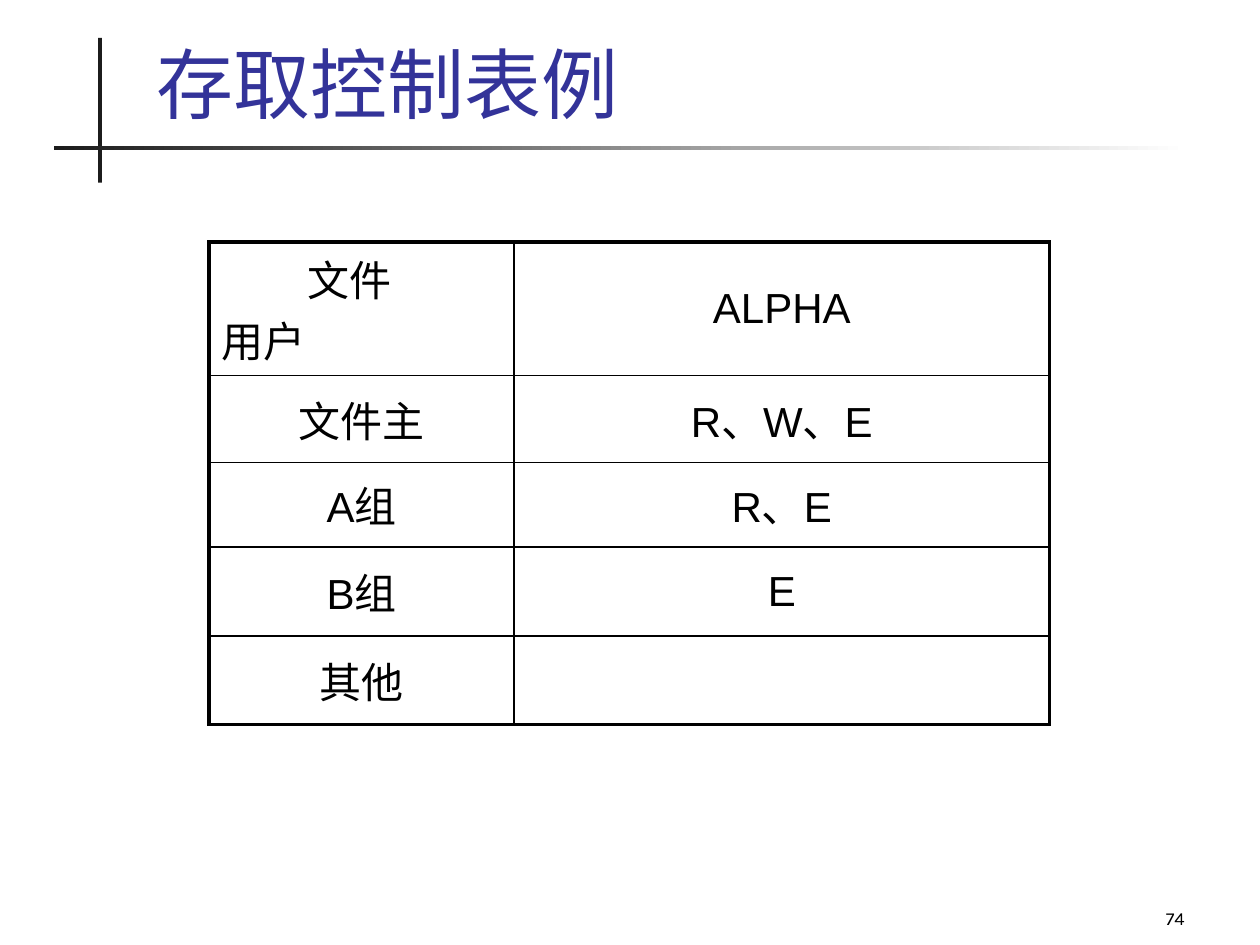
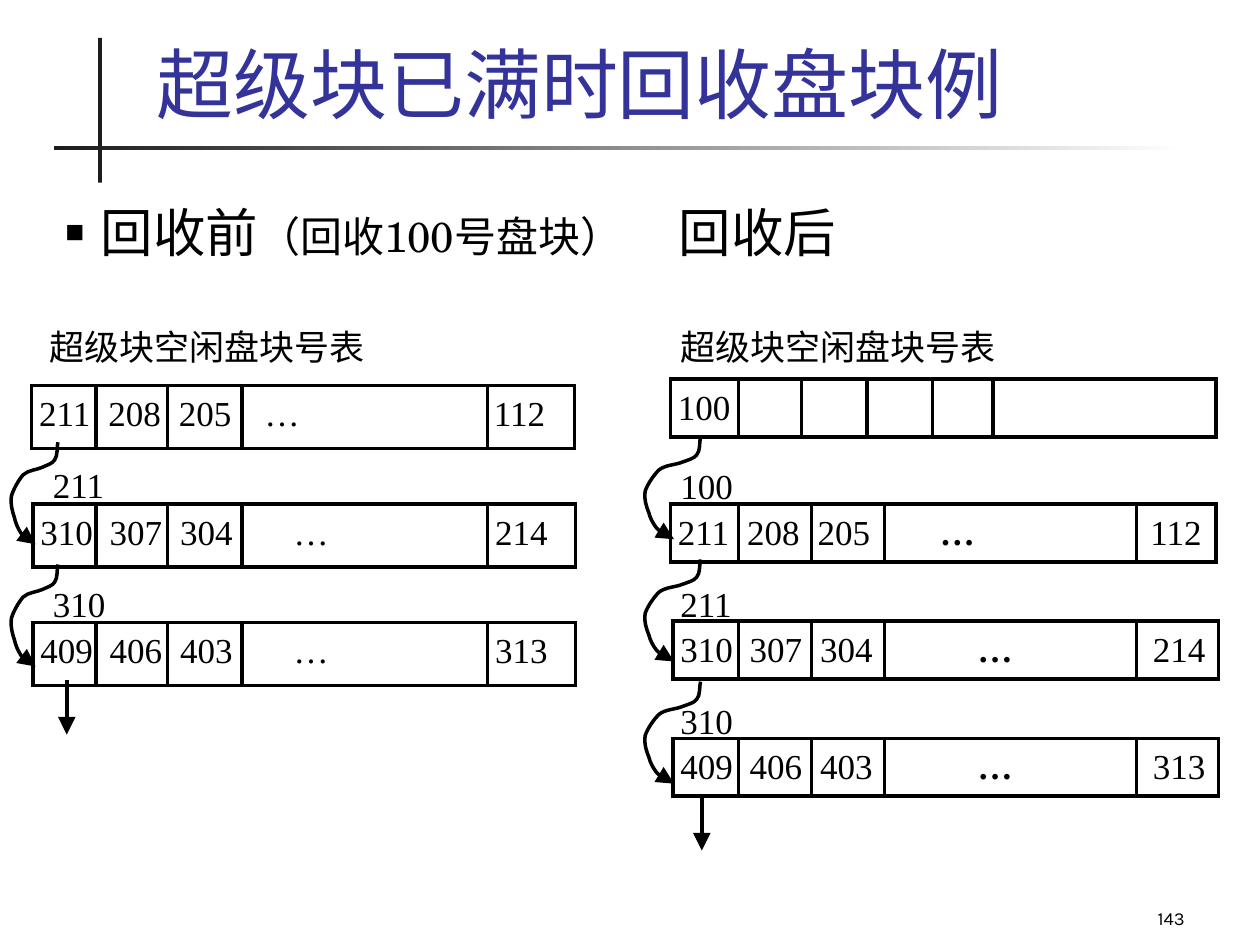
from dataclasses import dataclass

from lxml import etree
from pptx import Presentation
from pptx.dml.color import RGBColor
from pptx.enum.shapes import MSO_CONNECTOR, MSO_SHAPE
from pptx.enum.text import MSO_ANCHOR, PP_ALIGN
from pptx.oxml.ns import qn
from pptx.util import Inches, Pt

TOP, MIDDLE, BOTTOM = MSO_ANCHOR.TOP, MSO_ANCHOR.MIDDLE, MSO_ANCHOR.BOTTOM
LEFT, CENTER, RIGHT = PP_ALIGN.LEFT, PP_ALIGN.CENTER, PP_ALIGN.RIGHT
RECTANGLE, STRAIGHT = MSO_SHAPE.RECTANGLE, MSO_CONNECTOR.STRAIGHT


@dataclass(frozen=True)
class Theme:
    """Colours, fonts and sizes shared by the slides."""
    title_color: str = "333399"
    rule: str = "1C1C1C"
    ink: str = "000000"
    paper: str = "FFFFFF"
    heading_font: str = "TeX Gyre Schola"
    table_font: str = "Arial"
    block_font: str = "Times New Roman"
    number_font: str = "Karla"
    title_size: float = 44
    body_size: float = 30
    detail_size: float = 24
    block_size: float = 20
    number_size: float = 10.5
    line: float = 2
    outer_border: float = 2.25
    inner_border: float = 1


THEME = Theme()
TABLE_ROWS = [
    ("文件\n用户", "ALPHA"),
    ("文件主", "R、W、E"),
    ("A组", "R、E"),
    ("B组", "E"),
    ("其他", ""),
]
COLUMN_WIDTHS = (2.42, 4.25)
ROW_HEIGHTS = (1.06, 0.69, 0.67, 0.71, 0.7)
LINK_POINTS = [
    (0, 0), (-0.01, 0.03), (0, 0.11), (-0.03, 0.14),
    (-0.05, 0.17), (-0.1, 0.18), (-0.15, 0.2),
    (-0.2, 0.22), (-0.28, 0.22), (-0.33, 0.26),
    (-0.37, 0.3), (-0.42, 0.37), (-0.44, 0.43),
    (-0.45, 0.49), (-0.43, 0.55), (-0.41, 0.6),
    (-0.4, 0.64), (-0.38, 0.68), (-0.35, 0.72),
    (-0.32, 0.75), (-0.24, 0.79), (-0.21, 0.81),
]
LEFT_DIVIDERS = (0.76, 1.33, 1.92, 3.87)
RIGHT_DIVIDERS = (5.86, 6.44, 7.02, 9.02)
EMPTY_DIVIDERS = (5.86, 6.36, 6.88, 7.4, 7.88)


def color(value):
    """Turn a hex string into a colour."""
    return RGBColor.from_string(value)


def add_run(paragraph, text, font, size, ink=THEME.ink, bold=False):
    """Append a formatted run to a paragraph."""
    run = paragraph.add_run()
    run.text = text
    run.font.name = font
    run.font.size = Pt(size)
    run.font.bold = bold
    run.font.color.rgb = color(ink)


def set_tabs(paragraph, positions):
    """Set left tab stops at distances from the text edge."""
    tab_list = etree.SubElement(paragraph._p.get_or_add_pPr(), qn("a:tabLst"))
    for position in positions:
        etree.SubElement(tab_list, qn("a:tab"), pos=str(Inches(position)), algn="l")


def set_frame(frame, insets=(0.1, 0.05), anchor=TOP):
    """Set the wrapping, insets and anchor of a text frame."""
    frame.word_wrap = True
    frame.vertical_anchor = anchor
    frame.margin_left = frame.margin_right = Inches(insets[0])
    frame.margin_top = frame.margin_bottom = Inches(insets[1])
    return frame.paragraphs[0]


def add_text(slide, text, box, insets=(0.1, 0.05), anchor=TOP, align=LEFT, **run_format):
    """Add a one-paragraph text box and return its paragraph."""
    shape = slide.shapes.add_textbox(*map(Inches, box))
    paragraph = set_frame(shape.text_frame, insets, anchor)
    paragraph.alignment = align
    if text:
        add_run(paragraph, text, **run_format)
    return paragraph


def add_rectangle(slide, box):
    """Add a plain rectangle without shadow."""
    shape = slide.shapes.add_shape(RECTANGLE, *map(Inches, box))
    shape.shadow.inherit = False
    return shape


def style_line(line, arrow=False):
    """Give a line its colour and width, and an arrowhead if wanted."""
    line.color.rgb = color(THEME.ink)
    line.width = Pt(THEME.line)
    properties = line._get_or_add_ln()
    if arrow:
        etree.SubElement(properties, qn("a:tailEnd"), type="triangle", w="lg", len="lg")
    else:
        etree.SubElement(properties, qn("a:miter"), lim="800000")


def add_line(slide, start, end, arrow=False):
    """Add a straight line between two points."""
    connector = slide.shapes.add_connector(STRAIGHT, *map(Inches, start + end))
    style_line(connector.line, arrow)
    etree.SubElement(connector._element.spPr, qn("a:effectLst"))


def add_base_slide(presentation, title, number):
    """Add a slide with the crossed rules, title and page number."""
    slide = presentation.slides.add_slide(presentation.slide_layouts[6])
    upright = add_rectangle(slide, (0.78, 0.3, 0.03, 1.15))
    upright.fill.solid()
    upright.fill.fore_color.rgb = color(THEME.rule)
    level = add_rectangle(slide, (0.43, 1.16, 9, 0.03))
    level.fill.gradient()
    level.fill.gradient_angle = 0
    for stop, value in zip(level.fill.gradient_stops, (THEME.rule, THEME.paper)):
        stop.color.rgb = color(value)
    for rule in (upright, level):
        rule.line.fill.background()
    add_text(slide, title, (1.14, 0.25, 8.59, 0.82), anchor=BOTTOM,
             font=THEME.heading_font, size=THEME.title_size, ink=THEME.title_color)
    add_text(slide, str(number), (7.42, 6.92, 2.08, 0.5), anchor=BOTTOM, align=RIGHT,
             font=THEME.number_font, size=THEME.number_size)
    return slide


def set_borders(cell, outer_sides):
    """Draw the four borders of a cell, thicker on the outer sides."""
    properties = cell._tc.get_or_add_tcPr()
    for side in "LRTB":
        width = THEME.outer_border if side in outer_sides else THEME.inner_border
        line = etree.SubElement(properties, qn(f"a:ln{side}"), w=str(Pt(width)))
        fill = etree.SubElement(line, qn("a:solidFill"))
        etree.SubElement(fill, qn("a:srgbClr"), val=THEME.ink)


def add_access_table(slide):
    """Add the access control table."""
    frame = slide.shapes.add_table(len(TABLE_ROWS), len(COLUMN_WIDTHS), Inches(1.66), Inches(1.92),
                                   Inches(sum(COLUMN_WIDTHS)), Inches(sum(ROW_HEIGHTS)))
    table = frame.table
    table.first_row = table.horz_banding = False
    for column, width in zip(table.columns, COLUMN_WIDTHS):
        column.width = Inches(width)
    for row, height in zip(table.rows, ROW_HEIGHTS):
        row.height = Inches(height)
    for row_index, texts in enumerate(TABLE_ROWS):
        for column_index, text in enumerate(texts):
            cell = table.cell(row_index, column_index)
            outer_sides = "LR"[column_index]
            outer_sides += {0: "T", len(TABLE_ROWS) - 1: "B"}.get(row_index, "")
            set_borders(cell, outer_sides)
            cell.fill.background()
            is_corner = row_index == column_index == 0
            cell.vertical_anchor = TOP if is_corner else MIDDLE
            for line_index, line in enumerate(text.split("\n") if text else []):
                text_frame = cell.text_frame
                paragraph = text_frame.add_paragraph() if line_index else text_frame.paragraphs[0]
                paragraph.alignment = LEFT if is_corner else CENTER
                add_run(paragraph, line, THEME.table_font, THEME.detail_size)
    heading = table.cell(0, 0).text_frame.paragraphs[0]
    heading._p.get_or_add_pPr().set("marL", str(Inches(0.68)))


def add_block_row(slide, box, values, dividers, tabs=(), bold_dots=False):
    """Add a row of block numbers cut into cells by dividers."""
    left, top, width, height = box
    shape = add_rectangle(slide, box)
    shape.fill.solid()
    shape.fill.fore_color.rgb = color(THEME.paper)
    style_line(shape.line)
    paragraph = set_frame(shape.text_frame, (0.06, 0.05))
    paragraph.alignment = LEFT
    if tabs:
        set_tabs(paragraph, tabs)
    for index, value in enumerate(values):
        add_run(paragraph, "\t" + value if index else value, THEME.block_font,
                THEME.block_size, bold=bold_dots and value == "…")
    for x in dividers:
        add_line(slide, (x, top), (x, top + height))


def add_label(slide, text, left, top, width=0.47):
    """Add a block label without insets."""
    add_text(slide, text, (left, top, width, 0.25), insets=(0, 0),
             font=THEME.block_font, size=THEME.block_size)


def add_link(slide, left, top, stretch=1):
    """Add a curved arrow from a block number down to its block."""
    builder = slide.shapes.build_freeform(Inches(left), Inches(top))
    builder.add_line_segments(
        [(Inches(left + x * stretch), Inches(top + y)) for x, y in LINK_POINTS[1:]], close=False)
    shape = builder.convert_to_shape()
    segments = list(shape._element.iter(qn("a:lnTo")))
    outline = segments[0].getparent()
    for first in range(0, len(segments), 3):
        curve = etree.SubElement(outline, qn("a:cubicBezTo"))
        for segment in segments[first:first + 3]:
            curve.append(segment[0])
            outline.remove(segment)
    shape.shadow.inherit = False
    shape.fill.background()
    style_line(shape.line, arrow=True)


def add_body_line(slide):
    """Add the bulleted line that heads both halves."""
    paragraph = add_text(slide, "", (0.42, 1.47, 8.5, 0.67))
    paragraph.line_spacing = 1.14
    properties = paragraph._p.get_or_add_pPr()
    properties.set("marL", str(Inches(0.28)))
    properties.set("indent", str(Inches(-0.28)))
    bullet_color = etree.SubElement(properties, qn("a:buClr"))
    etree.SubElement(bullet_color, qn("a:srgbClr"), val=THEME.ink)
    etree.SubElement(properties, qn("a:buSzPct"), val="60000")
    etree.SubElement(properties, qn("a:buFont"), typeface=THEME.table_font)
    etree.SubElement(properties, qn("a:buChar"), char="■")
    set_tabs(paragraph, [4.87])
    for text, size in (("回收前", THEME.body_size), ("（回收100号盘块）", THEME.detail_size),
                       ("\t回收后", THEME.body_size)):
        add_run(paragraph, text, THEME.heading_font, size)


def add_before(slide):
    """Draw the free block lists before the block is returned."""
    add_label(slide, "超级块空闲盘块号表", 0.39, 2.58, 3.2)
    rows = [("211 208 205 … 112", 0.25, 1.79), ("310 307 304 … 214", 0.26, 2.01),
            ("409 406 403 … 313", 0.26, 2.01)]
    for index, (values, left, dots) in enumerate(rows):
        add_block_row(slide, (left, 3.06 + 0.94 * index, 4.31, 0.5), values.split(),
                      LEFT_DIVIDERS, (0.55, 1.11, dots, 3.61))
    for index, label in enumerate(("211", "310")):
        add_label(slide, label, 0.42, 3.68 + 0.94 * index)
        add_link(slide, 0.46, 3.51 + 0.97 * index, stretch=0.84)
    add_line(slide, (0.53, 5.4), (0.53, 5.83), arrow=True)


def add_after(slide):
    """Draw the free block lists after the block is returned."""
    add_label(slide, "超级块空闲盘块号表", 5.4, 2.58, 2.6)
    add_block_row(slide, (5.32, 3.01, 4.33, 0.46), ["100"], EMPTY_DIVIDERS)
    rows = [("211 208 205 … 112", 5.32, 2.08), ("310 307 304 … 214", 5.34, 2.36),
            ("409 406 403 … 313", 5.34, 2.36)]
    for index, (values, left, dots) in enumerate(rows):
        add_block_row(slide, (left, 4 + 0.93 * index, 4.33, 0.46), values.split(),
                      RIGHT_DIVIDERS, (0.55, 1.11, dots, 3.75), bold_dots=True)
    for index, label in enumerate(("100", "211", "310")):
        add_label(slide, label, 5.4, 3.69 + 0.93 * index)
        add_link(slide, 5.56, 3.47 + 0.97 * index)
    add_line(slide, (5.57, 6.32), (5.57, 6.75), arrow=True)


def main():
    """Build both slides and save the presentation."""
    presentation = Presentation()
    presentation.slide_width, presentation.slide_height = Inches(10), Inches(7.5)
    add_access_table(add_base_slide(presentation, "存取控制表例", 74))
    recycling_slide = add_base_slide(presentation, "超级块已满时回收盘块例", 143)
    add_body_line(recycling_slide)
    add_before(recycling_slide)
    add_after(recycling_slide)
    presentation.save("out.pptx")


if __name__ == "__main__":
    main()
